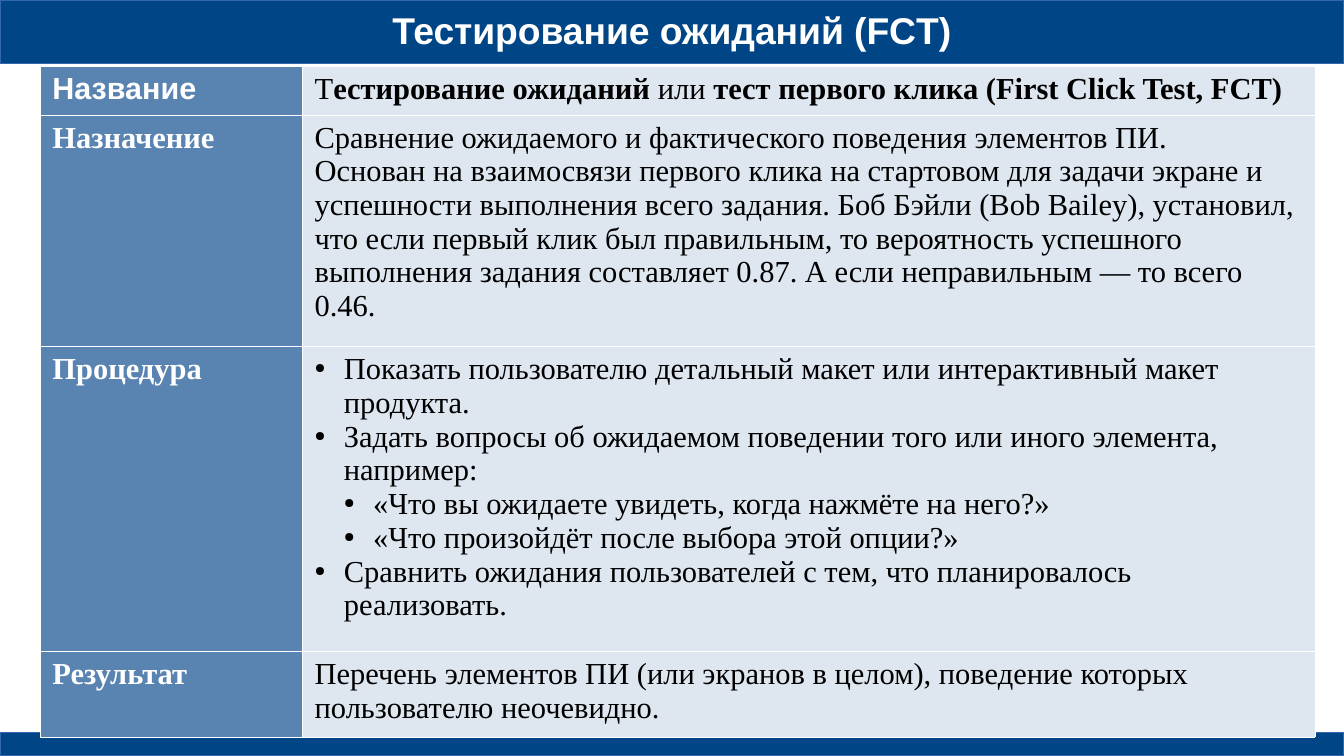
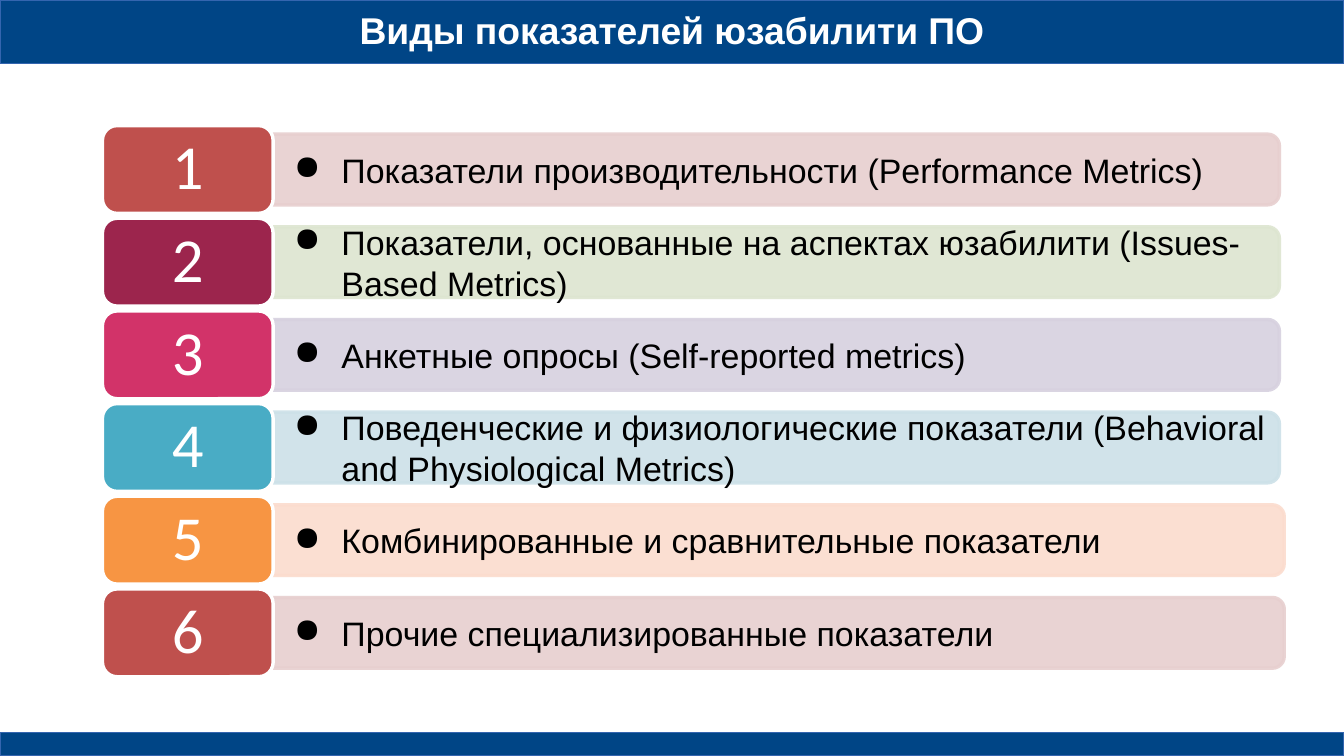
from lxml.etree import SubElement
from pptx import Presentation
from pptx.dml.color import RGBColor
from pptx.enum.shapes import MSO_SHAPE as Shape
from pptx.enum.text import MSO_ANCHOR as Anchor, PP_ALIGN as Align
from pptx.oxml.ns import qn
from pptx.util import Inches, Pt

WIDTH, HEIGHT = 11.02, 6.2
BAND, BAND_EDGE = "004586", "3465AF"
HEAD_FILL, BODY_FILL = "5983B0", "DEE6EF"
WHITE, BLACK = "FFFFFF", "000000"
SANS, SERIF, DIGITS = "Arial", "Times New Roman", "Calibri"


def rgb(value):
    return RGBColor.from_string(value)


def set_opacity(color_format_fill, percent):
    for color in color_format_fill.iter(qn("a:srgbClr")):
        SubElement(color, qn("a:alpha"), val=str(percent * 1000))


def add_bullet(paragraph, margin, hanging, size=100):
    props = paragraph._p.get_or_add_pPr()
    props.set("marL", str(Inches(margin)))
    props.set("indent", str(-Inches(hanging)))
    color = SubElement(props, qn("a:buClr"))
    SubElement(color, qn("a:srgbClr"), val=BLACK)
    SubElement(props, qn("a:buSzPct"), val=str(size * 1000))
    SubElement(props, qn("a:buChar"), char="●")


def add_borders(cell):
    props = cell._tc.get_or_add_tcPr()
    for side in ("lnL", "lnR", "lnT", "lnB"):
        line = SubElement(props, qn(f"a:{side}"), w=str(Pt(0.06)))
        fill = SubElement(line, qn("a:solidFill"))
        SubElement(fill, qn("a:srgbClr"), val=WHITE)


class Deck:
    def __init__(self):
        self.prs = Presentation()
        self.prs.slide_width = Inches(WIDTH)
        self.prs.slide_height = Inches(HEIGHT)
        self.slide = None

    def new_slide(self, title, margin):
        self.slide = self.prs.slides.add_slide(self.prs.slide_layouts[6])
        for top, height in ((0, 0.52), (6.01, 0.19)):
            self.shape(Shape.RECTANGLE, (0, top, WIDTH, height), BAND, BAND_EDGE, 0)
        heading = self.text((margin, 0.06, WIDTH - 2 * margin, 0.37), title, 22, WHITE, bold=True)
        heading.alignment = Align.CENTER

    def shape(self, kind, box, fill, edge, edge_width):
        shape = self.slide.shapes.add_shape(kind, *map(Inches, box))
        shape.shadow.inherit = False
        shape.fill.solid()
        shape.fill.fore_color.rgb = rgb(fill)
        shape.line.color.rgb = rgb(edge)
        shape.line.width = Pt(edge_width)
        return shape

    def style(self, paragraph, size, color, font=SANS, bold=False):
        for run in paragraph.runs:
            run.font.size = Pt(size)
            run.font.name = font
            run.font.bold = bold
            run.font.color.rgb = rgb(color)

    def frame(self, frame, inset_x, inset_y):
        frame.word_wrap = True
        frame.vertical_anchor = Anchor.MIDDLE
        frame.margin_left = frame.margin_right = Inches(inset_x)
        frame.margin_top = frame.margin_bottom = Inches(inset_y)

    def text(self, box, words, size, color, insets=(0, 0), bold=False):
        frame = self.slide.shapes.add_textbox(*map(Inches, box)).text_frame
        self.frame(frame, *insets)
        frame.text = words
        self.style(frame.paragraphs[0], size, color, bold=bold)
        return frame.paragraphs[0]

    def bar(self, left, top, width, height, color):
        box = (left + (width - height) / 2, top + (height - width) / 2, height, width)
        bar = self.shape(Shape.ROUND_2_SAME_RECTANGLE, box, color, color, 2)
        bar.rotation = 90
        bar.adjustments[0] = 0.167
        bar.adjustments[1] = 0
        set_opacity(bar._element.spPr, 90)

    def number_tile(self, box, number, color):
        tile = self.shape(Shape.ROUNDED_RECTANGLE, box, color, WHITE, 2)
        tile.adjustments[0] = 0.167
        frame = tile.text_frame
        self.frame(frame, 0.19, 0.12)
        frame.text = str(number)
        digit = frame.paragraphs[0]
        digit.alignment = Align.CENTER
        digit.line_spacing = 0.9
        self.style(digit, 37, WHITE, DIGITS)

    def cell(self, cell, words, fill):
        cell.margin_left = cell.margin_right = Inches(0.1)
        cell.margin_top = cell.margin_bottom = Inches(0.05)
        add_borders(cell)
        cell.fill.solid()
        cell.fill.fore_color.rgb = rgb(fill)
        cell.text_frame.text = words
        return cell.text_frame.paragraphs

    def table(self, box, columns, heights):
        table = self.slide.shapes.add_table(len(heights), len(columns), *map(Inches, box)).table
        table.first_row = table.horz_banding = False
        for column, width in zip(table.columns, columns):
            column.width = Inches(width)
        for row, height in zip(table.rows, heights):
            row.height = Inches(height)
        return table


def expectation_slide(deck):
    deck.new_slide("Тестирование ожиданий (FCT)", 0.45)
    name_parts = [
        ("Т", False),
        ("естирование ожиданий", True),
        (" или ", False),
        ("тест первого клика (First Click Test, FCT)", True),
    ]
    purpose = [
        "Сравнение ожидаемого и фактического поведения элементов ПИ.",
        "Основан на взаимосвязи первого клика на стартовом для задачи экране и "
        "успешности выполнения всего задания. Боб Бэйли (Bob Bailey), установил, "
        "что если первый клик был правильным, то вероятность успешного выполнения "
        "задания составляет 0.87. А если неправильным — то всего 0.46.",
    ]
    steps = [
        (0, "Показать пользователю детальный макет или интерактивный макет продукта."),
        (0, "Задать вопросы об ожидаемом поведении того или иного элемента, например:"),
        (1, "«Что вы ожидаете увидеть, когда нажмёте на него?»"),
        (1, "«Что произойдёт после выбора этой опции?»"),
        (0, "Сравнить ожидания пользователей с тем, что планировалось реализовать."),
    ]
    result = (
        "Перечень элементов ПИ (или экранов в целом), поведение которых "
        "пользователю неочевидно."
    )
    rows = [
        ("Название", SANS, 0.39, ""),
        ("Назначение", SERIF, 1.9, "\n".join(purpose)),
        ("Процедура", SERIF, 2.34, "\n".join(step for _, step in steps)),
        ("Результат", SERIF, 0.7, result),
    ]
    heights = [height for _, _, height, _ in rows]
    table = deck.table((0.33, 0.54, 10.45, sum(heights)), (2.15, 8.3), heights)
    for index, (label, font, _, body) in enumerate(rows):
        head = deck.cell(table.cell(index, 0), label, HEAD_FILL)[0]
        deck.style(head, 18, WHITE, font, True)
        for paragraph in deck.cell(table.cell(index, 1), body, BODY_FILL):
            deck.style(paragraph, 18, BLACK, SERIF)

    name = table.cell(0, 1).text_frame.paragraphs[0]
    for words, _ in name_parts:
        name.add_run().text = words
    deck.style(name, 18, BLACK, SERIF)
    for run, (_, bold) in zip(name.runs, name_parts):
        run.font.bold = bold

    for paragraph, (level, _) in zip(table.cell(2, 1).text_frame.paragraphs, steps):
        paragraph.level = level
        add_bullet(paragraph, 0.24 * (level + 1), 0.24, 45)


def metrics_slide(deck):
    deck.new_slide("Виды показателей юзабилити ПО", 0.5)
    metrics = [
        ("Показатели производительности (Performance Metrics)", "BF504D", "E7CFCF", 8.26),
        ("Показатели, основанные на аспектах юзабилити (Issues-Based Metrics)",
         "9C254D", "DDE5D0", 8.26),
        ("Анкетные опросы (Self-reported metrics)", "D23369", "D7D1DF", 8.26),
        ("Поведенческие и физиологические показатели (Behavioral and Physiological Metrics)",
         "49ACC5", "CDE1E8", 8.26),
        ("Комбинированные и сравнительные показатели", "F79543", "FBDCCE", 8.3),
        ("Прочие специализированные показатели", "BF504D", "E7CFCF", 8.3),
    ]
    bar_left, first_top, step = 2.23, 1.03, 0.76
    for index, (metric, tile_color, bar_color, width) in enumerate(metrics):
        top = first_top + index * step
        deck.bar(bar_left, top + 0.07, width, 0.58, bar_color)
        label = deck.text((bar_left, top + 0.1, width - 0.04, 0.52), metric, 20, BLACK,
                          (0.07, 0.04))
        add_bullet(label, 0.5, 0.39)
        deck.number_tile((0.84, top, 1.4, 0.72), index + 1, tile_color)


def main():
    deck = Deck()
    expectation_slide(deck)
    metrics_slide(deck)
    deck.prs.save("out.pptx")


if __name__ == "__main__":
    main()
